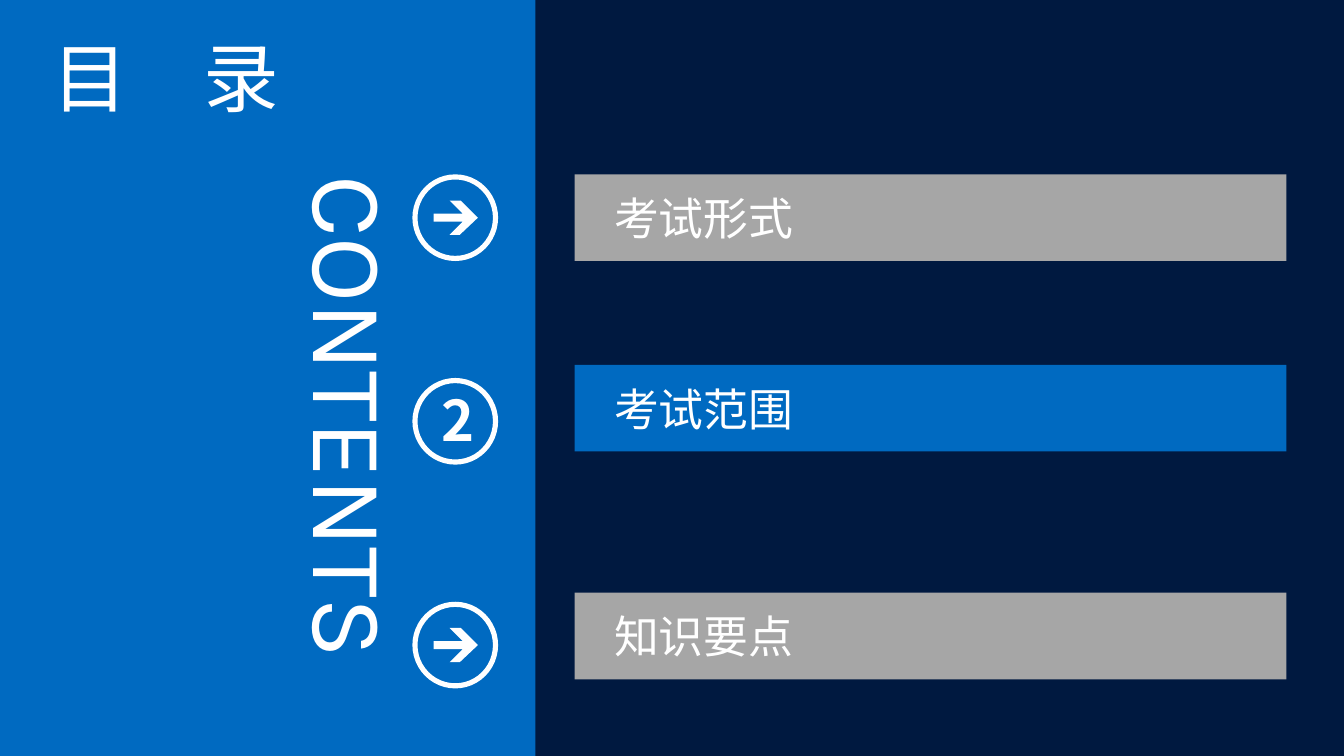
from lxml import etree
from pptx import Presentation
from pptx.dml.color import RGBColor
from pptx.enum.shapes import MSO_SHAPE
from pptx.enum.text import MSO_ANCHOR, PP_ALIGN
from pptx.oxml.ns import qn
from pptx.util import Pt

PX = 9144
RECT, OVAL, DONUT = MSO_SHAPE.RECTANGLE, MSO_SHAPE.OVAL, MSO_SHAPE.DONUT
MIDDLE = MSO_ANCHOR.MIDDLE
LEFT, CENTER, JUSTIFY = PP_ALIGN.LEFT, PP_ALIGN.CENTER, PP_ALIGN.JUSTIFY
NAVY, BLUE, GRAY, WHITE = "001940", "006AC1", "A6A6A6", "FFFFFF"
CJK, LATIN = "Noto Sans CJK SC", "Karla"
ARROW = [(50, 47), (37, 60), (47, 60), (65, 43), (48, 26),
         (37, 26), (50, 39), (21, 39), (21, 47)]
TOPICS = [("考试形式", 173, GRAY), ("考试范围", 362, BLUE), ("知识要点", 588, GRAY)]
MARKERS = [("", 173), ("2", 375), ("", 597)]


def px(*lengths):
    """Turn px lengths into EMU."""
    return [n * PX for n in lengths]


def paint(fill, color):
    """Set a solid fill from a hex string."""
    fill.solid()
    fill.fore_color.rgb = RGBColor.from_string(color)


def plain(sp, color):
    """Give a shape a flat fill without line or shadow."""
    sp.shadow.inherit = False
    paint(sp.fill, color)
    sp.line.fill.background()
    return sp


def add_block(s, kind, box, color):
    """Add a flat preset shape in the given box."""
    return plain(s.shapes.add_shape(kind, *px(*box)), color)


def write(sp, text, size, align, font=CJK, bold=False):
    """Put one formatted white line of text into a shape."""
    tf = sp.text_frame
    tf.word_wrap = True
    tf.text = text
    p = tf.paragraphs[0]
    p.alignment = align
    r = p.runs[0]
    r.font.size = Pt(size)
    r.font.bold = bold
    r.font.name = font
    paint(r.font.fill, WHITE)
    etree.SubElement(r.font._element, qn("a:ea"), typeface=font)
    return tf


def add_side_panel(s, box):
    """Place the blue panel with the title and the vertical heading."""
    x, y, w, h = box
    panel = add_block(s, RECT, box, BLUE)
    title = s.shapes.title
    title.left, title.top, title.width, title.height = px(x + 42, y + 12, 618, 139)
    tf = write(title, "目　录", 54, LEFT)
    tf.vertical_anchor = MIDDLE
    tf.paragraphs[0].line_spacing = 0.9
    title.element.addprevious(panel.element)
    heading = s.shapes.add_textbox(*px(x + 275, y + 164, 141, 525))
    tf = write(heading, "CONTENTS", 72, JUSTIFY, LATIN)
    tf._txBody.bodyPr.set("vert", "eaVert")


def add_marker(s, box, number):
    """Place a ring holding a number, or an arrow when there is none."""
    x, y, w, h = box
    ring = add_block(s, DONUT, box, WHITE)
    ring.adjustments[0] = 0.06
    if number:
        disc = add_block(s, OVAL, (x + 10, y + 10, 64, 62), BLUE)
        write(disc, number, 40, CENTER, bold=True).vertical_anchor = MIDDLE
        return
    points = [(x + dx, y + dy) for dx, dy in ARROW]
    fb = s.shapes.build_freeform(*points[0], scale=PX)
    fb.add_line_segments(points[1:], close=True)
    plain(fb.convert_to_shape(), WHITE)


def add_topic(s, box, text, color):
    """Place one topic bar."""
    tf = write(add_block(s, RECT, box, color), text, 32, LEFT)
    tf.vertical_anchor = MIDDLE
    tf.margin_left, tf.margin_top, tf.margin_right, tf.margin_bottom = px(39, 16, 10, 16)


def main():
    """Build the contents slide."""
    prs = Presentation()
    prs.slide_width, prs.slide_height = px(1333, 750)
    s = prs.slides.add_slide(prs.slide_layouts[0])
    subtitle = s.placeholders[1].element
    subtitle.getparent().remove(subtitle)
    paint(s.background.fill, NAVY)
    add_side_panel(s, (0, 0, 531, 750))
    for number, top in MARKERS:
        add_marker(s, (409, top, 85, 86), number)
    for text, top, color in TOPICS:
        add_topic(s, (570, top, 706, 86), text, color)
    prs.save("out.pptx")


if __name__ == "__main__":
    main()
